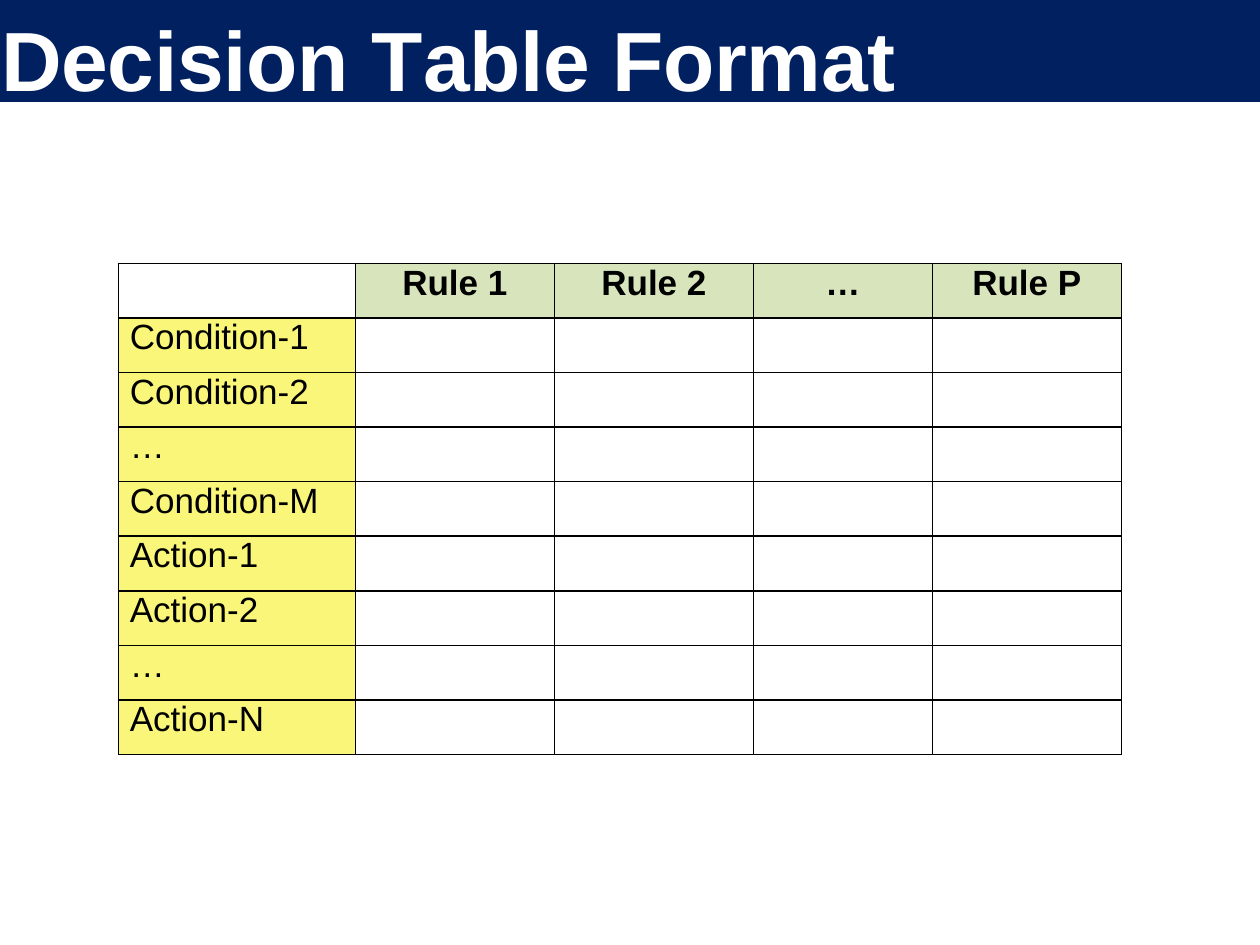
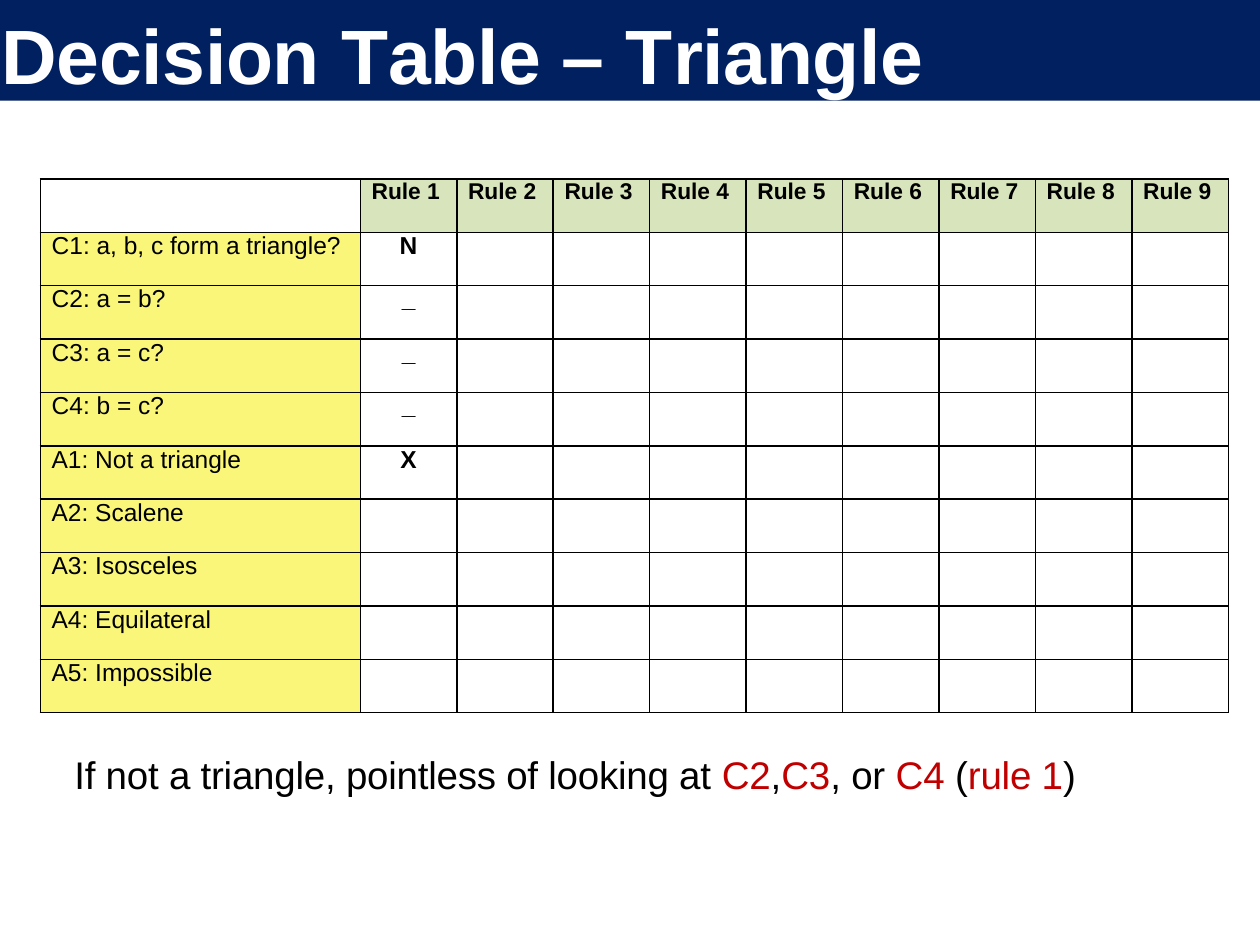
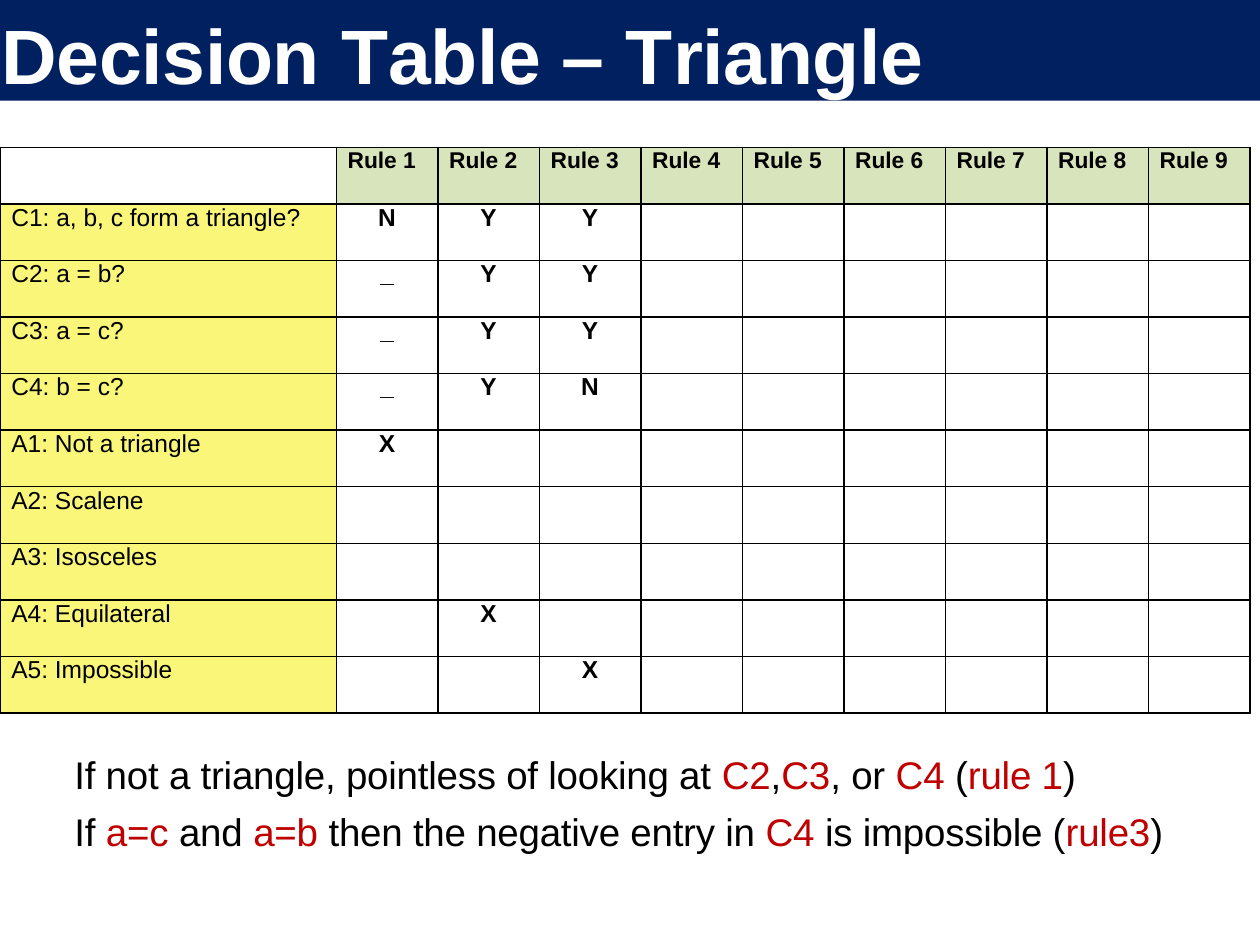
import pptx
import pptx.util
import pptx.dml.color
import pptx.enum.shapes
import pptx.enum.text
import pptx.oxml
import pptx.oxml.ns

Inches, Pt = pptx.util.Inches, pptx.util.Pt
ALIGN = pptx.enum.text.PP_ALIGN

# Shared look
FONT = "Arial"
NAVY, WHITE, BLACK, RED = "002060", "FFFFFF", "000000", "C00000"
GREEN, YELLOW = "D7E4BC", "F9F679"
INDENT = 0.09

# Content: a run is plain text or (text, format)
TIGHT = ("T", {"space": -4.8})
FORMAT = ["Decision ", TIGHT, "able Format"]
TRIANGLE = ["Decision ", TIGHT, "able – ", ("T", {"space": -1.8}), "riangle"]


def red(text):
    return text, {"color": RED}


NOTE_1 = ["If not a triangle, pointless of looking at ", red("C2"), ",",
          red("C3"), ", or ", red("C4 "), "(", red("rule 1"), ")"]
NOTE_2 = ["If ", red("a=c "), "and ", red("a=b "),
          "then the negative entry in ", red("C4 "), "is impossible (",
          red("rule3"), ")"]

PARTS = ["Condition-1", "Condition-2", "…", "Condition-M",
         "Action-1", "Action-2", "…", "Action-N"]
TESTS = ["C1: a, b, c form a triangle?", "C2: a = b?", "C3: a = c?",
         "C4: b = c?", "A1: Not a triangle", "A2: Scalene",
         "A3: Isosceles", "A4: Equilateral", "A5: Impossible"]
RULES = [f"Rule {n}" for n in range(1, 10)]

# Each rule's entries, one letter per test; a space is an empty cell
RULE_1, RULE_2, RULE_3 = "N___X", "YYYY   X", "YYYN    X"

SLIDES = [
    {"title": FORMAT, "size": 48, "band": 0.81, "notes": [],
     "table": {"box": (0.94, 2.09, 7.96, 3.9),
               "cols": [1.88, 1.58, 1.58, 1.42, 1.5],
               "heads": ["Rule 1", "Rule 2", "…", "Rule P"],
               "labels": PARTS, "marks": [], "sizes": (20, 20),
               "align": ALIGN.CENTER}},
    {"title": TRIANGLE, "size": 44, "band": 0.8, "notes": [NOTE_1],
     "note_box": (0.58, 5.93, 8.09, 0.37),
     "table": {"box": (0.32, 1.42, 9.43, 4.24),
               "cols": [2.54] + [(9.43 - 2.54) / 9] * 9,
               "heads": RULES, "labels": TESTS, "marks": [RULE_1],
               "sizes": (13, 14), "align": ALIGN.LEFT}},
    {"title": TRIANGLE, "size": 44, "band": 0.8, "notes": [NOTE_1, NOTE_2],
     "note_box": (0.58, 5.93, 8.79, 0.82),
     "table": {"box": (0, 1.17, 9.92, 4.49),
               "cols": [2.67] + [(9.92 - 2.67) / 9] * 9,
               "heads": RULES, "labels": TESTS,
               "marks": [RULE_1, RULE_2, RULE_3],
               "sizes": (13, 14), "align": ALIGN.LEFT}},
]


def rgb(code):
    return pptx.dml.color.RGBColor.from_string(code)


def write(para, text, size=14, bold=False, color=BLACK, space=0,
          align=ALIGN.LEFT):
    para.alignment = align
    for part in [text] if isinstance(text, str) else text:
        words, own = (part, {}) if isinstance(part, str) else part
        run = para.add_run()
        run.text = words
        font = run.font
        font.name, font.size, font.bold = FONT, Pt(size), bold
        font.color.rgb = rgb(own.get("color", color))
        gap = own.get("space", space)
        if gap:
            run._r.get_or_add_rPr().set("spc", str(round(gap * 100)))


def inset(item, left=0, top=0):
    item.margin_left, item.margin_top = Inches(left), Inches(top)
    item.margin_right = item.margin_bottom = 0


def border(cell):
    props = cell._tc.get_or_add_tcPr()
    for side in "LRTB":
        props.append(pptx.oxml.parse_xml(
            f'<a:ln{side} {pptx.oxml.ns.nsdecls("a")} w="12700">'
            f'<a:solidFill><a:srgbClr val="{BLACK}"/></a:solidFill>'
            f'</a:ln{side}>'))


def add_title(slide, text, size, high):
    band = slide.shapes.add_shape(
        pptx.enum.shapes.MSO_SHAPE.RECTANGLE, 0, 0, Inches(10), Inches(high))
    band.shadow.inherit = False
    band.fill.solid()
    band.fill.fore_color.rgb = rgb(NAVY)
    band.line.fill.background()
    frame = band.text_frame
    frame.word_wrap = True
    frame.vertical_anchor = pptx.enum.text.MSO_ANCHOR.TOP
    inset(frame, 0.01, 0.06)
    write(frame.paragraphs[0], text, size=size, bold=True, color=WHITE,
          space=-0.2)


def add_notes(slide, notes, box):
    frame = slide.shapes.add_textbox(*map(Inches, box)).text_frame
    frame.word_wrap = True
    inset(frame, 0.01, 0.03)
    for i, note in enumerate(notes):
        para = frame.add_paragraph() if i else frame.paragraphs[0]
        if i:
            para.space_before = Pt(6)
        write(para, note, size=22, space=-0.1)


def add_grid(slide, box, cols, heads, labels, marks, sizes, align):
    count = len(labels) + 1
    table = slide.shapes.add_table(
        count, len(cols), *map(Inches, box)).table
    table.first_row = table.horz_banding = False
    for col, wide in zip(table.columns, cols):
        col.width = Inches(wide)
    for row in table.rows:
        row.height = Inches(box[3] / count)

    # Borders and fills
    for r in range(count):
        for c in range(len(cols)):
            cell = table.cell(r, c)
            inset(cell)
            border(cell)
            if (r == 0) == (c == 0):
                cell.fill.background()
            else:
                cell.fill.solid()
                cell.fill.fore_color.rgb = rgb(YELLOW if c == 0 else GREEN)

    def entry(r, c, text, left=0, **form):
        cell = table.cell(r, c)
        cell.margin_left = Inches(left)
        write(cell.text_frame.paragraphs[0], text, **form)

    # Heads, labels and rule entries
    small, large = sizes
    pad = INDENT if align == ALIGN.LEFT else 0
    for c, head in enumerate(heads, 1):
        entry(0, c, head, pad, size=small, bold=True, align=align)
    for r, label in enumerate(labels, 1):
        entry(r, 0, label, INDENT, size=large)
    for c, rule in enumerate(marks, 1):
        for r, mark in enumerate(rule, 1):
            if mark != " ":
                entry(r, c, mark, size=large, bold=True, align=ALIGN.CENTER)

    # Body cells without entries take the same small type
    for r in range(1, count):
        for c in range(1, len(cols)):
            para = table.cell(r, c).text_frame.paragraphs[0]
            if not para.runs:
                para.font.size = Pt(large)


def main():
    deck = pptx.Presentation()
    deck.slide_width, deck.slide_height = Inches(10), Inches(7.5)
    for page in SLIDES:
        slide = deck.slides.add_slide(deck.slide_layouts[6])
        add_title(slide, page["title"], page["size"], page["band"])
        if page["notes"]:
            add_notes(slide, page["notes"], page["note_box"])
        add_grid(slide, **page["table"])
    deck.save("out.pptx")


if __name__ == "__main__":
    main()
